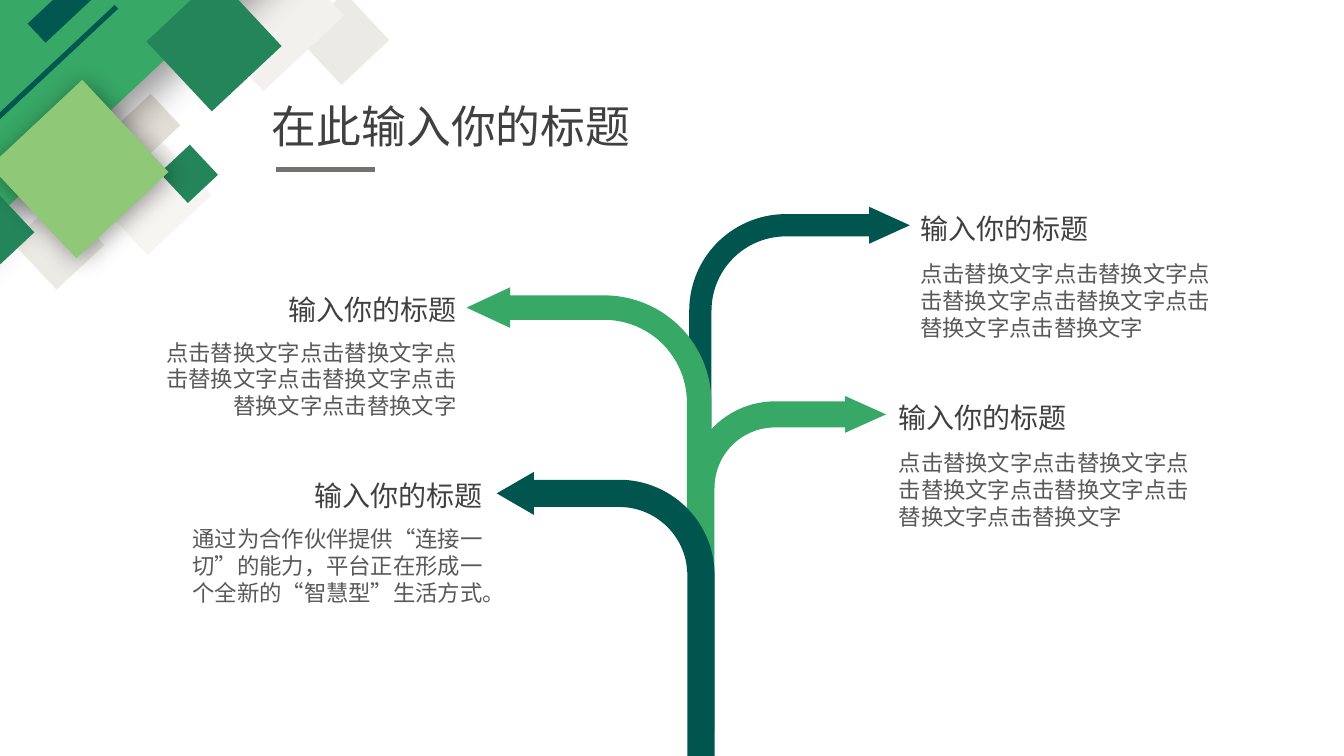
from lxml.etree import SubElement
from pptx import Presentation
from pptx.dml.color import RGBColor
from pptx.enum.shapes import MSO_CONNECTOR, MSO_SHAPE
from pptx.enum.text import MSO_AUTO_SIZE, PP_ALIGN
from pptx.oxml import parse_xml
from pptx.oxml.ns import nsdecls, qn
from pptx.util import Cm, Pt

SAND = RGBColor(0xE7, 0xE4, 0xDD)
PALE = RGBColor(0xF2, 0xF1, 0xED)
STONE = RGBColor(0xD8, 0xD4, 0xC9)
GREEN = RGBColor(0x37, 0xA8, 0x66)
TEAL = RGBColor(0x00, 0x57, 0x4F)
DEEP = RGBColor(0x00, 0x55, 0x4E)
FOREST = RGBColor(0x24, 0x85, 0x5A)
LIME = RGBColor(0x8F, 0xC8, 0x77)
GREY = RGBColor(0x76, 0x71, 0x71)
DARK = RGBColor(0x40, 0x40, 0x40)
MID = RGBColor(0x59, 0x59, 0x59)

TILT = 316.9
TILES = [
    (7.82, 0.15, 1.65, 1.65, SAND, 76, None),
    (5.31, -1.07, 2.79, 2.79, PALE, 100, None),
    (0.64, 5.31, 1.65, 1.65, SAND, 76, None),
    (2.67, 3.76, 2.21, 2.21, PALE, 67, None),
    (3.23, 2.59, 1.09, 1.09, STONE, 73, None),
    (-5.16, -3.45, 13.39, 6.25, GREEN, 100, (27, 16, 90)),
    (-4.14, 2.9, 8.18, 0.13, TEAL, 100, None),
    (4.24, 3.86, 1.04, 1.04, FOREST, 100, None),
    (4.19, -0.1, 2.41, 2.41, FOREST, 100, None),
    (-1.22, 4.95, 1.73, 1.73, FOREST, 100, None),
    (0.41, 2.67, 3.18, 3.18, LIME, 100, (18, 3, 45)),
    (-0.2, -2.34, 8.33, 0.66, TEAL, 100, None),
]
ARROWS = [
    (17.37, 5.21, 5.56, 7.44, DEEP, False, (0.101, 0.084, 0.185, 0.438)),
    (17.35, 9.98, 4.98, 8.41, GREEN, False, (0.132, 0.093, 0.207, 0.438)),
    (11.76, 7.24, 6.17, 7.16, GREEN, True, (0.1, 0.083, 0.178, 0.438)),
    (12.52, 11.89, 5.49, 7.92, DEEP, True, (0.125, 0.099, 0.171, 0.438)),
]
TITLE = "在此输入你的标题"
HEAD = "输入你的标题"
BODY = "点击替换文字" * 6
GOAL = "通过为合作伙伴提供“连接一切”的能力，平台正在形成一个全新的“智慧型”生活方式。"
NOTES = [
    (11.76, 7.24, True, BODY, 2.31),
    (12.42, 11.94, True, GOAL, 3),
    (22.94, 5.21, False, BODY, 2.31),
    (22.4, 9.98, False, BODY, 2.31),
]
HEAD_W, HEAD_H, BODY_W = 6.17, 1.12, 7.95

deck = Presentation()
deck.slide_width, deck.slide_height = Cm(33.87), Cm(19.05)
slide = deck.slides.add_slide(deck.slide_layouts[6])
shapes = slide.shapes


def add_form(kind, x, y, w, h, color):
    form = shapes.add_shape(kind, Cm(x), Cm(y), Cm(w), Cm(h))
    form.shadow.inherit = False
    form.fill.solid()
    form.fill.fore_color.rgb = color
    form.line.fill.background()
    return form


def add_shade(form, blur, dist, angle):
    effects = form._element.spPr.find(qn("a:effectLst"))
    effects.append(parse_xml(
        f'<a:outerShdw {nsdecls("a")} blurRad="{Pt(blur)}" dist="{Pt(dist)}" '
        f'dir="{angle * 60000}" algn="ctr" rotWithShape="0">'
        '<a:srgbClr val="000000"><a:alpha val="40000"/></a:srgbClr></a:outerShdw>'))


def add_text(text, x, y, w, h, size, color, align=PP_ALIGN.LEFT):
    box = shapes.add_textbox(Cm(x), Cm(y), Cm(w), Cm(h))
    frame = box.text_frame
    frame.word_wrap = True
    frame.auto_size = MSO_AUTO_SIZE.SHAPE_TO_FIT_TEXT
    line = frame.paragraphs[0]
    line.text = text
    line.alignment = align
    line.font.name = "Arial"
    line.font.size = Pt(size)
    line.font.color.rgb = color


for x, y, w, h, color, alpha, shade in TILES:
    tile = add_form(MSO_SHAPE.RECTANGLE, x, y, w, h, color)
    tile.rotation = TILT
    if alpha < 100:
        tint = tile._element.spPr.find(qn("a:solidFill"))[0]
        SubElement(tint, qn("a:alpha")).set("val", str(alpha * 1000))
    if shade:
        add_shade(tile, *shade)

add_text(TITLE, 6.6, 2.36, 10.34, 1.63, 32, DARK)
rule = shapes.add_connector(
    MSO_CONNECTOR.STRAIGHT, Cm(6.96), Cm(4.27), Cm(9.45), Cm(4.27))
rule.line.color.rgb = GREY
rule.line.width = Pt(3)
SubElement(rule._element.spPr, qn("a:effectLst"))

for x, y, w, h, color, flip, bends in ARROWS:
    arrow = add_form(MSO_SHAPE.BENT_ARROW, x, y, w, h, color)
    for i, bend in enumerate(bends):
        arrow.adjustments[i] = bend
    if flip:
        arrow._element.spPr.xfrm.set("flipH", "1")

for edge, y, left, text, tall in NOTES:
    align = PP_ALIGN.RIGHT if left else PP_ALIGN.LEFT
    gap = 1.17 if left else 1.22
    rows = [(HEAD, y, HEAD_W, HEAD_H, 20, DARK),
            (text, y + gap, BODY_W, tall, 16, MID)]
    for words, top, w, h, size, color in rows:
        x = edge - w if left else edge
        add_text(words, x, top, w, h, size, color, align)

deck.save("out.pptx")
